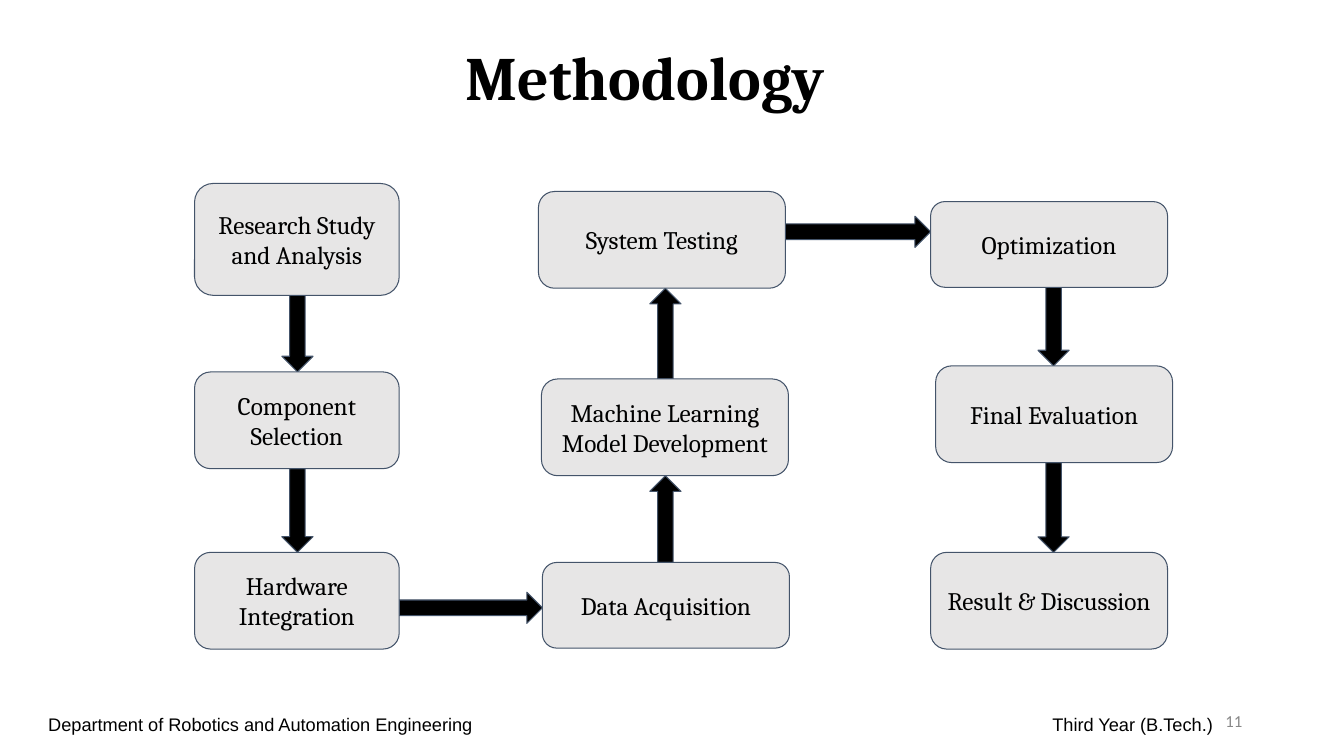
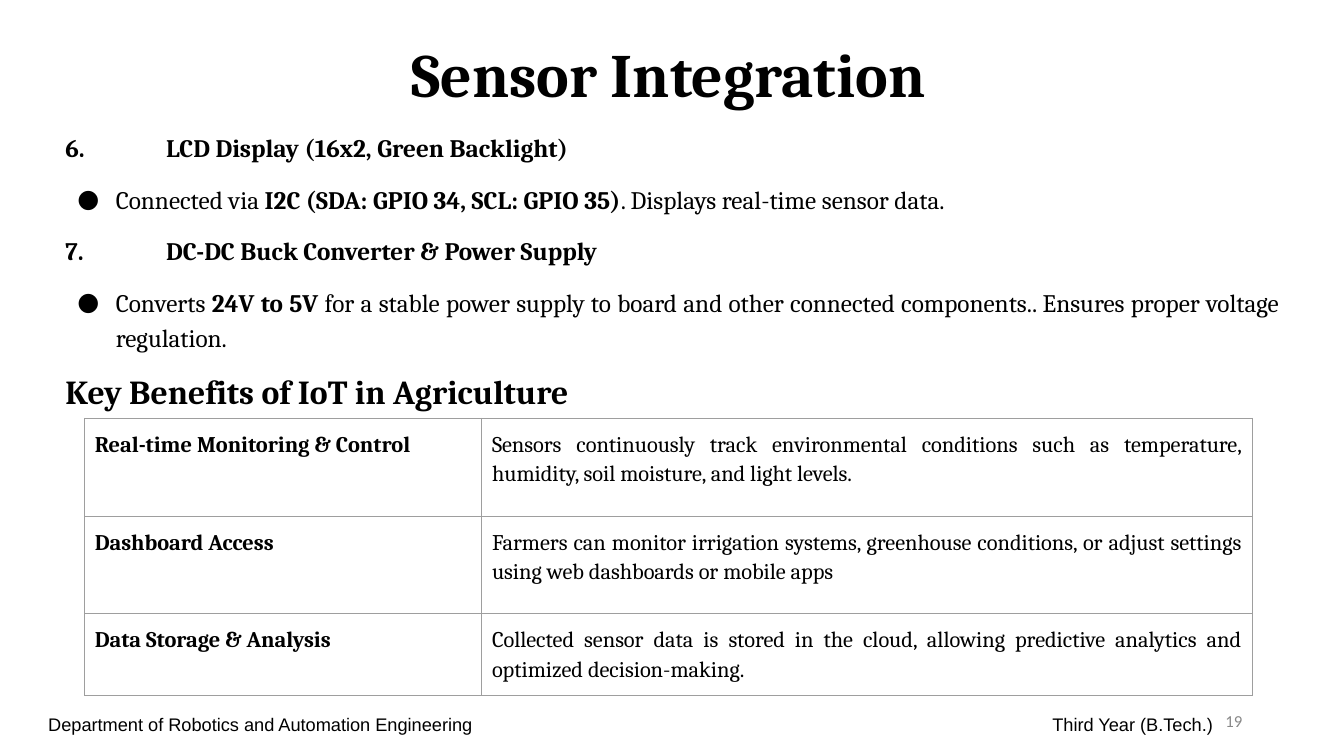
from lxml import etree
from pptx import Presentation
from pptx.dml.color import RGBColor
from pptx.enum.shapes import MSO_SHAPE
from pptx.enum.text import MSO_ANCHOR, PP_ALIGN
from pptx.oxml import parse_xml
from pptx.oxml.ns import nsdecls, qn
from pptx.util import Inches, Pt

BLACK = RGBColor(0x00, 0x00, 0x00)
GRAY = RGBColor(0x88, 0x88, 0x88)
PALE = RGBColor(0xE7, 0xE6, 0xE6)
SLATE = RGBColor(0x44, 0x54, 0x6A)
RULE = RGBColor(0x9E, 0x9E, 0x9E)

LEFT, MID, RIGHT, JUST = (PP_ALIGN.LEFT, PP_ALIGN.CENTER,
                          PP_ALIGN.RIGHT, PP_ALIGN.JUSTIFY)
TOP, CENTER = MSO_ANCHOR.TOP, MSO_ANCHOR.MIDDLE
ROUND = MSO_SHAPE.ROUNDED_RECTANGLE
DOWN, UP, ACROSS = (MSO_SHAPE.DOWN_ARROW, MSO_SHAPE.UP_ARROW,
                    MSO_SHAPE.RIGHT_ARROW)

SERIF, SANS, PLAIN = "Cambria", "Arial", "Calibri"
THIN = Pt(0.75)
SHAFT = 0.31

# Flow steps: text, left, top, width, height
STEPS = [
    ("Research Study and Analysis", 1.93, 1.82, 2.03, 1.11),
    ("Component Selection", 1.93, 3.69, 2.03, 0.96),
    ("Hardware Integration", 1.93, 5.48, 2.03, 0.96),
    ("Data Acquisition", 5.38, 5.58, 2.45, 0.85),
    ("Machine Learning Model Development", 5.37, 3.76, 2.45, 0.96),
    ("System Testing", 5.34, 1.9, 2.45, 0.96),
    ("Optimization", 9.23, 2, 2.35, 0.85),
    ("Final Evaluation", 9.28, 3.63, 2.35, 0.96),
    ("Result & Discussion", 9.23, 5.48, 2.35, 0.96),
]
# Arrow from each step to the next: kind, centre line
LINKS = [(DOWN, 2.95), (DOWN, 2.95), (ACROSS, 6.03), (UP, 6.6), (UP, 6.6),
         (ACROSS, 2.3), (DOWN, 10.45), (DOWN, 10.45)]

# Every second piece of a note is bold
NOTES = [
    ("", "6.\tLCD Display (16x2, Green Backlight)"),
    ("Connected via ", "I2C (SDA: GPIO 34, SCL: GPIO 35)",
     ". Displays real-time sensor data."),
    ("", "7.\tDC-DC Buck Converter & Power Supply"),
    ("Converts ", "24V to 5V",
     " for a stable power supply to board and other connected components.."
     " Ensures proper voltage regulation."),
]
GAINS = [
    ("Real-time Monitoring & Control",
     "Sensors continuously track environmental conditions such as "
     "temperature, humidity, soil moisture, and light levels."),
    ("Dashboard Access",
     "Farmers can monitor irrigation systems, greenhouse conditions, or "
     "adjust settings using web dashboards or mobile apps"),
    ("Data Storage & Analysis",
     "Collected sensor data is stored in the cloud, allowing predictive "
     "analytics and optimized decision-making."),
]


# Text helpers
def style(para, size, face=SERIF, color=BLACK, bold=False, align=LEFT,
          lead=None):
    para.alignment = align
    if lead:
        para.line_spacing = lead
    for run in para.runs:
        font = run.font
        font.size, font.name, font.bold = Pt(size), face, bold
        font.color.rgb = color


def inset(frame, side=0.1, edge=0.1):
    frame.margin_left = frame.margin_right = Inches(side)
    frame.margin_top = frame.margin_bottom = Inches(edge)


def label(slide, box, text="", anchor=TOP, edge=0.1, **look):
    frame = slide.shapes.add_textbox(*map(Inches, box)).text_frame
    frame.word_wrap = True
    frame.vertical_anchor = anchor
    inset(frame, edge=edge)
    if text:
        frame.text = text
        style(frame.paragraphs[0], **look)
    return frame


def tab(para, at, side):
    para._p.get_or_add_pPr().append(parse_xml(
        f'<a:tabLst {nsdecls("a")}><a:tab pos="{Inches(at)}" algn="{side}"/>'
        '</a:tabLst>'))


def bullet(para):
    props = para._p.get_or_add_pPr()
    props.set("marL", str(Inches(0.5)))
    props.set("indent", str(Inches(-0.38)))
    etree.SubElement(props, qn("a:buFont")).set("typeface", SERIF)
    etree.SubElement(props, qn("a:buChar")).set("char", "●")


# Shared parts
def title(slide, box, text, lead):
    label(slide, box, text, CENTER, 0.05, size=44, bold=True, align=MID,
          lead=lead)


def footer(slide, number):
    frame = label(slide, (0.38, 6.94, 12.42, 0.42))
    para = frame.paragraphs[0]
    para.text = ("Department of Robotics and Automation Engineering"
                 "\tThird Year (B.Tech.)")
    tab(para, 11.55, "r")
    style(para, 13, SANS, lead=1.15)
    label(slide, (9.42, 6.95, 3, 0.4), str(number), CENTER, 0.05,
          size=12, face=PLAIN, color=GRAY, align=RIGHT)


def block(slide, kind, box, fill):
    shape = slide.shapes.add_shape(kind, *map(Inches, box))
    shape.shadow.inherit = False
    shape.fill.solid()
    shape.fill.fore_color.rgb = fill
    shape.line.color.rgb = SLATE
    shape.line.width = THIN
    return shape


# Flow chart
def step(slide, text, *box):
    frame = block(slide, ROUND, box, PALE).text_frame
    frame.word_wrap = True
    frame.vertical_anchor = CENTER
    inset(frame)
    frame.text = text
    style(frame.paragraphs[0], 18, align=MID)


def link(slide, kind, axis, start, end):
    side = axis - SHAFT / 2
    _, x, y, w, h = start
    _, nx, ny, _, nh = end
    if kind == ACROSS:
        box = (x + w, side, nx - x - w, SHAFT)
    elif kind == DOWN:
        box = (side, y + h, SHAFT, ny - y - h)
    else:
        box = (side, ny + nh, SHAFT, y - ny - nh)
    block(slide, kind, box, BLACK)


def flow(slide):
    for (kind, axis), start, end in zip(LINKS, STEPS, STEPS[1:]):
        link(slide, kind, axis, start, end)
    for item in STEPS:
        step(slide, *item)


# Numbered notes with bullets
def notes(slide, box):
    frame = label(slide, box)
    for i, parts in enumerate(NOTES):
        para = frame.add_paragraph() if i else frame.paragraphs[0]
        for part in filter(None, parts):
            para.add_run().text = part
        if parts[0]:
            bullet(para)
        else:
            tab(para, 1, "l")
        style(para, 18, align=JUST, lead=1.15)
        if i:
            para.space_before = Pt(12)
        for run in para.runs:
            run.font.bold = run.text == parts[1]


# Table of benefits
def border(cell):
    props = cell._tc.get_or_add_tcPr()
    for i, side in enumerate(("lnL", "lnR", "lnT", "lnB")):
        props.insert(i, parse_xml(
            f'<a:{side} {nsdecls("a")} w="{THIN}"><a:solidFill>'
            f'<a:srgbClr val="{RULE}"/></a:solidFill></a:{side}>'))


def gains(slide, left, top):
    cols, rows = (3.94, 7.64), (0.97, 0.97, 0.76)
    box = (left, top, sum(cols), sum(rows))
    grid = slide.shapes.add_table(len(rows), len(cols),
                                  *map(Inches, box)).table
    grid.first_row = grid.horz_banding = False
    for col, width in zip(grid.columns, cols):
        col.width = Inches(width)
    for row, height, texts in zip(grid.rows, rows, GAINS):
        row.height = Inches(height)
        for i, (cell, text) in enumerate(zip(row.cells, texts)):
            cell.fill.background()
            border(cell)
            inset(cell)
            cell.text_frame.text = text
            style(cell.text_frame.paragraphs[0], 16, bold=not i,
                  align=JUST if i else LEFT, lead=1.15)


# Slides
def method(slide):
    title(slide, (0.84, 0.19, 11.12, 1.22), "Methodology", 0.9)
    flow(slide)
    footer(slide, 11)


def sensor(slide):
    title(slide, (0.84, 0.1, 11.58, 1.14), "Sensor Integration", 1.15)
    notes(slide, (0.55, 1.17, 12.24, 2.4))
    label(slide, (0.55, 3.57, 11.44, 0.58),
          "Key Benefits of IoT in Agriculture", edge=0.05, size=24,
          bold=True, lead=1.15)
    gains(slide, 0.84, 4.15)
    footer(slide, 19)


def main():
    deck = Presentation()
    deck.slide_width, deck.slide_height = Inches(13.33), Inches(7.5)
    for build in (method, sensor):
        build(deck.slides.add_slide(deck.slide_layouts[6]))
    deck.save("out.pptx")


if __name__ == "__main__":
    main()
